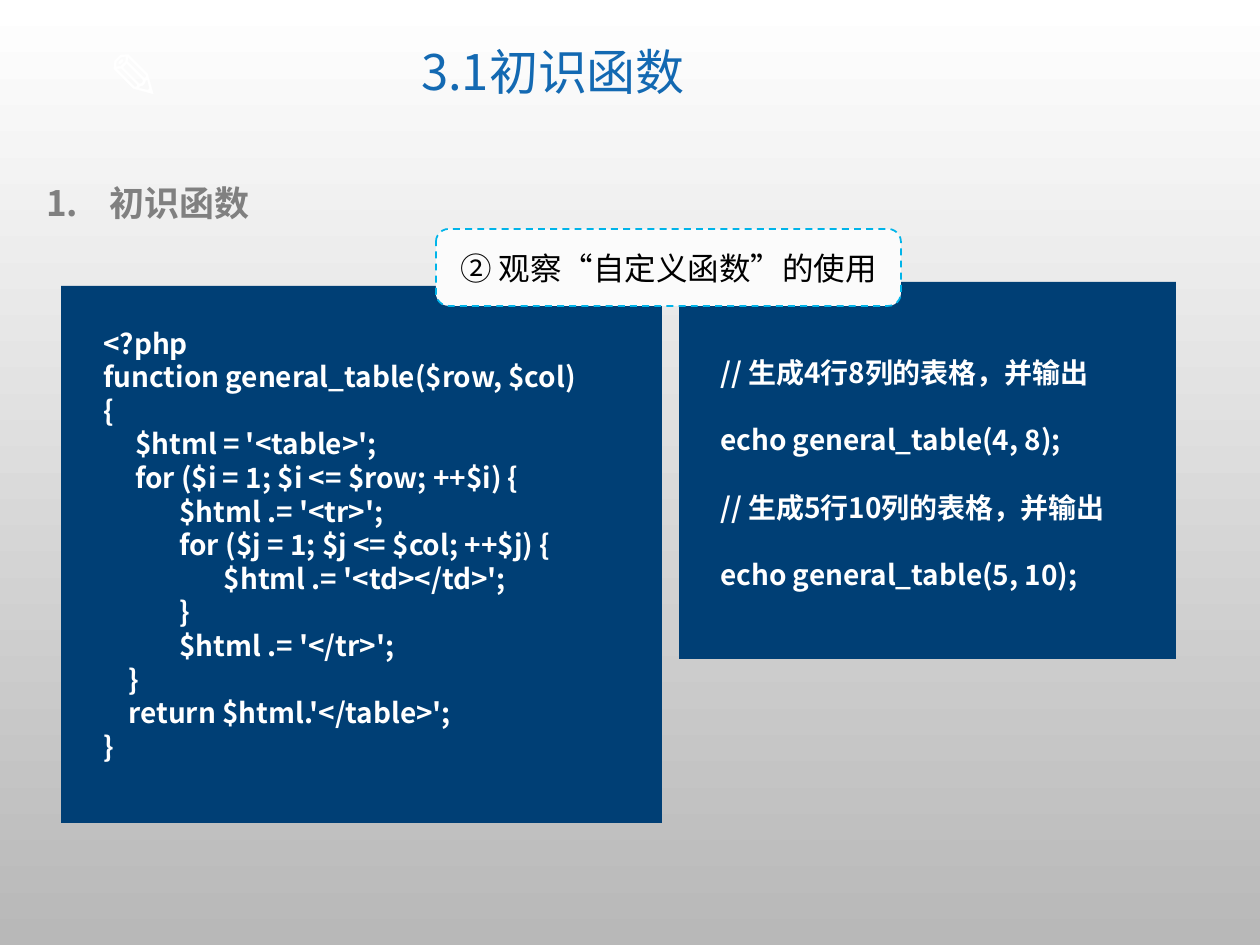
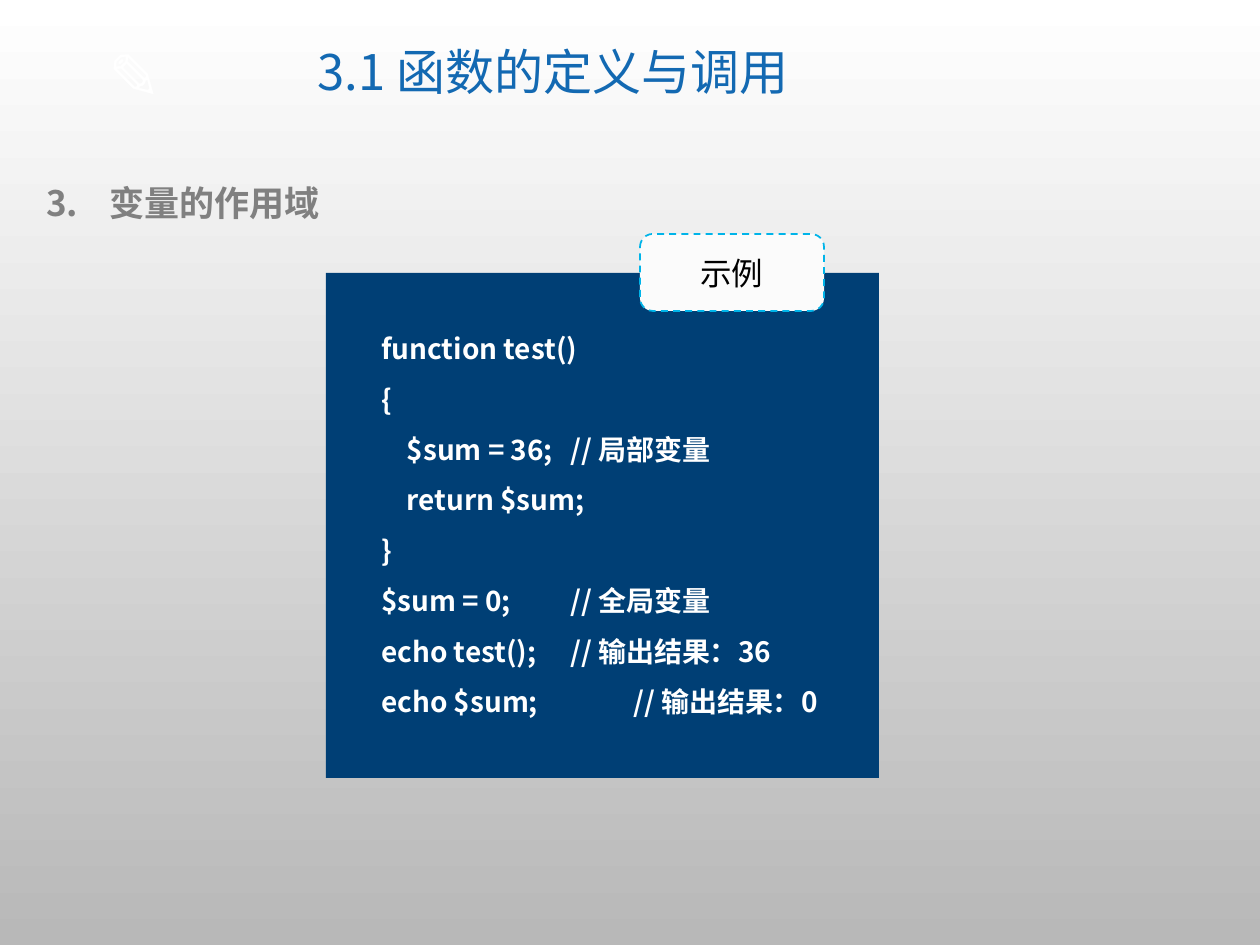
import pptx
import pptx.dml.color
import pptx.enum.dml
import pptx.enum.shapes
import pptx.enum.text
import pptx.oxml.ns
import pptx.util
from lxml import etree

PX = 914400 / 126
NAVY = pptx.dml.color.RGBColor(0x00, 0x3F, 0x75)
TITLE_BLUE = pptx.dml.color.RGBColor(0x13, 0x69, 0xB2)
CYAN = pptx.dml.color.RGBColor(0x00, 0xB4, 0xE9)
GREY = pptx.dml.color.RGBColor(0x80, 0x80, 0x80)
PALE = pptx.dml.color.RGBColor(0xFB, 0xFB, 0xFB)
SILVER = pptx.dml.color.RGBColor(0xB8, 0xB8, 0xB8)
WHITE = pptx.dml.color.RGBColor(0xFF, 0xFF, 0xFF)
BLACK = pptx.dml.color.RGBColor(0x00, 0x00, 0x00)

CJK = "Noto Sans CJK SC"
ALIGN = pptx.enum.text.PP_ALIGN
ANCHOR = pptx.enum.text.MSO_ANCHOR
GROW = pptx.enum.text.MSO_AUTO_SIZE.SHAPE_TO_FIT_TEXT
SHAPE = pptx.enum.shapes.MSO_SHAPE
qn = pptx.oxml.ns.qn

PENCIL = {"font": {"size": pptx.util.Pt(36), "name": CJK, "bold": True}, "color": WHITE,
          "frame": {"word_wrap": False, "auto_size": GROW}}
TITLE = {"font": {"size": pptx.util.Pt(28), "name": CJK}, "color": TITLE_BLUE,
         "frame": {"word_wrap": True, "vertical_anchor": ANCHOR.MIDDLE},
         "paragraph": {"alignment": ALIGN.CENTER, "line_spacing": 0.9}}
HEADING = {"font": {"size": pptx.util.Pt(20), "name": CJK, "bold": True}, "color": GREY,
           "frame": {"word_wrap": True, "auto_size": GROW}}
CODE = {"font": {"size": pptx.util.Pt(16), "name": CJK, "bold": True}, "color": WHITE,
        "frame": {"word_wrap": True, "auto_size": GROW}}
CALLOUT = {"font": {"size": pptx.util.Pt(18), "name": "Calibri"}, "color": BLACK,
           "frame": {"word_wrap": True, "vertical_anchor": ANCHOR.MIDDLE},
           "paragraph": {"alignment": ALIGN.CENTER}}

TABLE_FUNCTION = """<?php
function general_table($row, $col)
{
     $html = '<table>';
     for ($i = 1; $i <= $row; ++$i) {
            $html .= '<tr>';
            for ($j = 1; $j <= $col; ++$j) {
                   $html .= '<td></td>';
            }
            $html .= '</tr>';
    }
    return $html.'</table>';
}"""
TABLE_CALLS = """// 生成4行8列的表格，并输出
echo general_table(4, 8);
// 生成5行10列的表格，并输出
echo general_table(5, 10);"""
SCOPE_EXAMPLE = """function test()
{
    $sum = 36; \t// 局部变量
    return $sum;
}
$sum = 0; \t// 全局变量
echo test();   \t// 输出结果：36
echo $sum;          \t// 输出结果：0"""

# Each code block: panel box, text box, line spacing, code
LESSONS = [
    {"title": "3.1初识函数", "number": 1, "heading": "初识函数",
     "code": [((679, 282, 497, 377), (708, 316, 431, 285), 2.0, TABLE_CALLS),
              ((61, 286, 601, 537), (91, 320, 551, 488), 1.0, TABLE_FUNCTION)],
     "callout": ("② 观察“自定义函数”的使用", (436, 229, 465, 77))},
    {"title": "3.1 函数的定义与调用", "number": 3, "heading": "变量的作用域",
     "code": [((326, 273, 553, 505), (369, 309, 509, 420), 1.5, SCOPE_EXAMPLE)],
     "callout": ("示例", (640, 234, 184, 77))},
]


def emu(*lengths):
    return [round(length * PX) for length in lengths]


def write(shape, text, style):
    """Fill the shape with one paragraph per line and return the paragraphs."""
    frame = shape.text_frame
    for key, value in style["frame"].items():
        setattr(frame, key, value)
    frame.text = text
    for paragraph in frame.paragraphs:
        for key, value in style.get("paragraph", {}).items():
            setattr(paragraph, key, value)
        for run in paragraph.runs:
            for key, value in style["font"].items():
                setattr(run.font, key, value)
            run.font.color.rgb = style["color"]
            etree.SubElement(run.font._element, qn("a:ea"), typeface=CJK)
    return frame.paragraphs


prs = pptx.Presentation()
prs.slide_width, prs.slide_height = emu(1260, 945)

for lesson in LESSONS:
    slide = prs.slides.add_slide(prs.slide_layouts[6])
    backdrop = slide.background.fill
    backdrop.gradient()
    backdrop.gradient_angle = 270
    for stop, color in zip(backdrop.gradient_stops, (WHITE, SILVER)):
        stop.color.rgb = color

    write(slide.shapes.add_textbox(*emu(96, 30, 108, 89)), "✎", PENCIL)
    write(slide.shapes.add_textbox(*emu(228, 21, 650, 107)), lesson["title"], TITLE)

    heading = slide.shapes.add_textbox(*emu(34, 175, 1162, 55))
    numbered = write(heading, lesson["heading"], HEADING)[0]._p.get_or_add_pPr()
    indent = emu(63)[0]
    numbered.set("marL", str(indent))
    numbered.set("indent", str(-indent))
    etree.SubElement(numbered, qn("a:buFont"), typeface="+mj-lt")
    etree.SubElement(numbered, qn("a:buAutoNum"), type="arabicPeriod",
                     startAt=str(lesson["number"]))

    for panel_box, text_box, spacing, code in lesson["code"]:
        block = slide.shapes.add_group_shape().shapes
        panel = block.add_shape(SHAPE.RECTANGLE, *emu(*panel_box))
        panel.shadow.inherit = False
        panel.fill.solid()
        panel.fill.fore_color.rgb = NAVY
        panel.line.fill.background()
        for line in write(block.add_textbox(*emu(*text_box)), code, CODE):
            if "\t" in line.text:
                tabs = etree.SubElement(line._p.get_or_add_pPr(), qn("a:tabLst"))
                for position in emu(189, 252):
                    etree.SubElement(tabs, qn("a:tab"), pos=str(position), algn="l")
            line.line_spacing = spacing

    label, label_box = lesson["callout"]
    callout = slide.shapes.add_shape(SHAPE.ROUNDED_RECTANGLE, *emu(*label_box))
    callout.shadow.inherit = False
    callout.fill.solid()
    callout.fill.fore_color.rgb = PALE
    callout.line.color.rgb = CYAN
    callout.line.width = pptx.util.Pt(1)
    callout.line.dash_style = pptx.enum.dml.MSO_LINE.DASH
    write(callout, label, CALLOUT)

prs.save("out.pptx")
